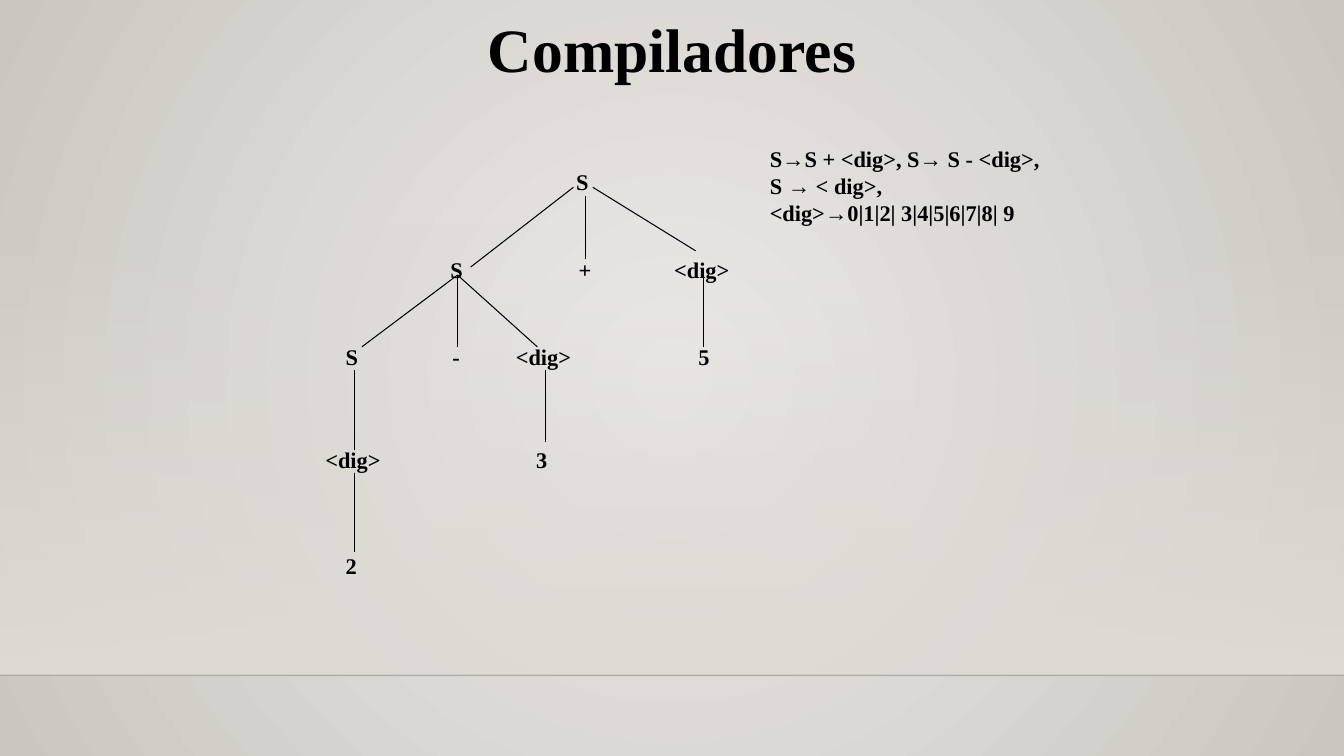
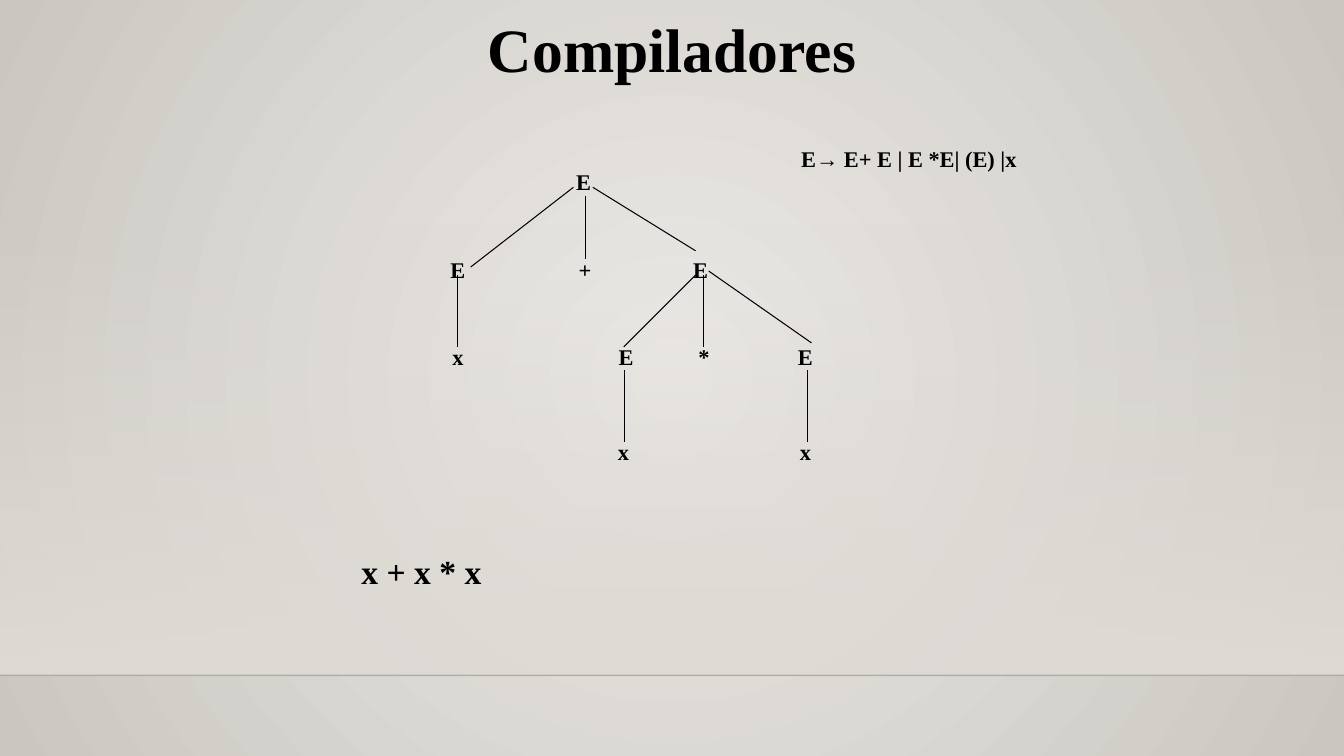
from lxml import etree
from pptx import Presentation
from pptx import util as u
from pptx.dml.color import RGBColor
from pptx.enum import shapes, text
from pptx.oxml.ns import qn

BLACK = RGBColor(0x00, 0x00, 0x00)
GLOW = RGBColor(0xEC, 0xEA, 0xE7)
EDGE = RGBColor(0xCA, 0xC7, 0xC1)
WALL = RGBColor(0xDF, 0xDB, 0xD5)

SERIF = "Times New Roman"
ARROW_FONT = "Arial"
TITLE_ONLY = 5
WIDTH, HEIGHT = 33.87, 19.05
FLOOR_TOP = 17.02

# Tree levels (tops of the labels) and label box sizes, in cm
ROOT, SECOND, THIRD = 4.11, 6.32, 8.53
LABEL_HEIGHT = 0.94
LABEL_WIDTH = {"S": 0.79, "E": 0.91, "<dig>": 2.06, "x": 0.81,
               "+": 0.89, "-": 0.69, "*": 0.79}
DIGIT_WIDTH = 0.76

# Where the stems below the second and third levels begin and end
SECOND_FOOT, THIRD_HEAD = 6.93, 8.74
THIRD_FOOT, FOURTH_HEAD = 9.32, 11.13


def set_alpha(fill_element, percent):
    """Make the first colour inside the element translucent."""
    colour = next(fill_element.iter(qn("a:srgbClr")))
    etree.SubElement(colour, qn("a:alpha")).set("val", str(percent * 1000))


class Deck:
    def __init__(self):
        self.prs = Presentation()
        self.prs.slide_width = u.Cm(WIDTH)
        self.prs.slide_height = u.Cm(HEIGHT)
        self.slide = None

    def new_slide(self, title):
        self.slide = self.prs.slides.add_slide(self.prs.slide_layouts[TITLE_ONLY])
        heading = self.slide.shapes.title
        heading.left, heading.top = u.Cm(4.24), u.Cm(0.13)
        heading.width, heading.height = u.Cm(25.4), u.Cm(2.13)
        frame = heading.text_frame
        frame.auto_size = text.MSO_AUTO_SIZE.NONE
        frame.vertical_anchor = text.MSO_ANCHOR.MIDDLE
        frame.paragraphs[0].alignment = text.PP_ALIGN.CENTER
        self.run(frame.paragraphs[0], title, 44)

    def dress_master(self):
        """Give the master its glow, wall and floor line."""
        master = self.prs.slide_master
        self.two_stops(master.background.fill, GLOW, EDGE)
        linear = master.element.xpath(".//p:bgPr/a:gradFill/a:lin")[0]
        gradient = linear.getparent()
        gradient.remove(linear)
        circle = etree.SubElement(gradient, qn("a:path"))
        circle.set("path", "circle")
        focus = etree.SubElement(circle, qn("a:fillToRect"))
        for side in "ltrb":
            focus.set(side, "50000")

        wall = self.slide.shapes.add_shape(
            shapes.MSO_SHAPE.RECTANGLE, 0, u.Cm(5.61), u.Cm(WIDTH), u.Cm(FLOOR_TOP - 5.61))
        wall.shadow.inherit = False
        wall.line.fill.background()
        self.two_stops(wall.fill, WALL, WALL)
        wall.fill.gradient_angle = 270
        set_alpha(wall.element.spPr, 0)

        floor = self.line(0, FLOOR_TOP, WIDTH, FLOOR_TOP, 1)
        set_alpha(floor.element.spPr, 20)

        # The shape tree starts with two property elements
        for place, part in enumerate((wall, floor), start=2):
            part.element.xpath(".//p:cNvPr")[0].set("id", str(20 + place))
            master.element.cSld.spTree.insert(place, part.element)

    def two_stops(self, fill, first, last):
        fill.gradient()
        for stop, colour, position in zip(fill.gradient_stops, (first, last), (0, 1)):
            stop.color.rgb = colour
            stop.position = position

    def run(self, paragraph, words, size, font=SERIF):
        run = paragraph.add_run()
        run.text = words
        run.font.name = font
        run.font.size = u.Pt(size)
        run.font.bold = True
        run.font.color.rgb = BLACK

    def text_box(self, left, top, width, height, lines, size=16):
        """Write one paragraph per line, with every → in its own font."""
        box = self.slide.shapes.add_textbox(u.Cm(left), u.Cm(top), u.Cm(width), u.Cm(height))
        frame = box.text_frame
        frame.word_wrap = False
        frame.auto_size = text.MSO_AUTO_SIZE.SHAPE_TO_FIT_TEXT
        for number, line in enumerate(lines):
            paragraph = frame.add_paragraph() if number else frame.paragraphs[0]
            for index, words in enumerate(line.split("→")):
                if index:
                    self.run(paragraph, "→", size, ARROW_FONT)
                if words:
                    self.run(paragraph, words, size)

    def nodes(self, *nodes):
        for label, left, top in nodes:
            width = LABEL_WIDTH.get(label, DIGIT_WIDTH)
            self.text_box(left, top, width, LABEL_HEIGHT, [label])

    def line(self, x1, y1, x2, y2, weight=0.75):
        line = self.slide.shapes.add_connector(
            shapes.MSO_CONNECTOR.STRAIGHT, u.Cm(x1), u.Cm(y1), u.Cm(x2), u.Cm(y2))
        line.line.color.rgb = BLACK
        line.line.width = u.Pt(weight)
        etree.SubElement(line.element.spPr, qn("a:effectLst"))
        return line

    def branches(self, *branches):
        for ends in branches:
            self.line(*ends)

    def tree_top(self, symbol):
        """Draw the root sum and the stems both trees have in common."""
        self.branches((14.76, 4.93, 14.76, 6.53),
                      (14.94, 4.72, 17.53, 6.32),
                      (14.45, 4.72, 11.86, 6.73))
        for x in (11.53, 17.73):
            self.line(x, SECOND_FOOT, x, THIRD_HEAD)
        self.nodes((symbol, 14.27, ROOT), (symbol, 11.1, SECOND), ("+", 14.33, SECOND))


def digit_tree(deck):
    deck.tree_top("S")
    deck.text_box(19.15, 3.53, 8.28, 3, [
        "S→S + <dig>, S→ S - <dig>,",
        "S → < dig>,",
        "<dig>→0|1|2| 3|4|5|6|7|8| 9",
    ])
    fourth, fifth = 11.13, 13.79
    deck.nodes(("<dig>", 16.74, SECOND),
               ("S", 8.46, THIRD), ("-", 11.15, THIRD),
               ("<dig>", 12.75, THIRD), ("5", 17.35, THIRD),
               ("<dig>", 7.95, fourth), ("3", 13.26, fourth),
               ("2", 8.46, fifth))
    deck.branches((11.53, SECOND_FOOT, 9.12, THIRD_HEAD),
                  (11.53, SECOND_FOOT, 13.54, THIRD_HEAD),
                  (8.94, THIRD_FOOT, 8.94, 11.33),
                  (8.94, 11.91, 8.94, 13.92),
                  (13.74, THIRD_FOOT, 13.74, FOURTH_HEAD))


def expression_tree(deck):
    deck.tree_top("E")
    deck.text_box(19.94, 3.53, 6.76, 1.63, ["E→ E+ E | E *E| (E) |x"])
    fourth = 10.92
    deck.nodes(("E", 17.22, SECOND),
               ("x", 11.15, THIRD), ("E", 15.34, THIRD),
               ("*", 17.35, THIRD), ("E", 19.86, THIRD),
               ("x", 15.32, fourth), ("x", 19.91, fourth))
    deck.branches((17.53, SECOND_FOOT, 15.72, THIRD_HEAD),
                  (17.86, 6.83, 20.45, 8.64),
                  (15.74, THIRD_FOOT, 15.74, FOURTH_HEAD),
                  (20.35, THIRD_FOOT, 20.35, FOURTH_HEAD))
    deck.text_box(8.86, 13.77, 3.68, 1.27, ["x + x * x"], 24)


def main():
    deck = Deck()
    for number, draw_tree in enumerate((digit_tree, expression_tree)):
        deck.new_slide("Compiladores")
        if number == 0:
            deck.dress_master()
        draw_tree(deck)
    deck.prs.save("out.pptx")


if __name__ == "__main__":
    main()
